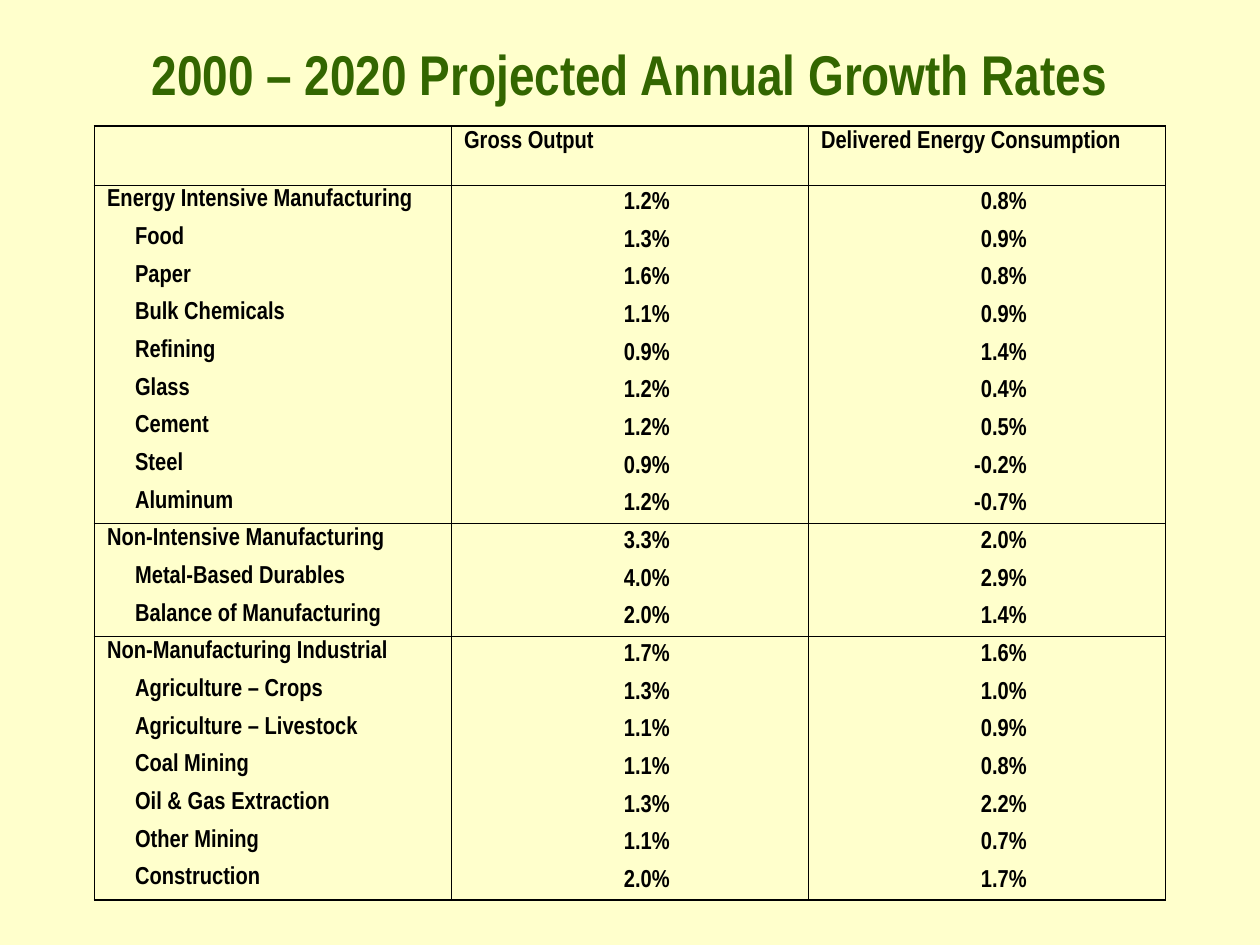
import dataclasses

import lxml.etree
import pptx
import pptx.dml.color
import pptx.enum.text
import pptx.oxml.ns
import pptx.util

Pt = pptx.util.Pt
Align = pptx.enum.text.PP_ALIGN
Anchor = pptx.enum.text.MSO_ANCHOR


@dataclasses.dataclass(frozen=True)
class Theme:
    background: str = "FFFFCC"
    title_color: str = "336600"
    ink: str = "000000"
    font: str = "Arial Narrow"
    title_size: float = 32
    body_size: float = 14
    inner_line: float = 0.45
    outer_line: float = 1.08


HEADER = ("", "Gross Output", "Delivered Energy Consumption")
SECTIONS = [
    [
        ("Energy Intensive Manufacturing", "1.2%", "0.8%"),
        ("Food", "1.3%", "0.9%"),
        ("Paper", "1.6%", "0.8%"),
        ("Bulk Chemicals", "1.1%", "0.9%"),
        ("Refining", "0.9%", "1.4%"),
        ("Glass", "1.2%", "0.4%"),
        ("Cement", "1.2%", "0.5%"),
        ("Steel", "0.9%", "-0.2%"),
        ("Aluminum", "1.2%", "-0.7%"),
    ],
    [
        ("Non-Intensive Manufacturing", "3.3%", "2.0%"),
        ("Metal-Based Durables", "4.0%", "2.9%"),
        ("Balance of Manufacturing", "2.0%", "1.4%"),
    ],
    [
        ("Non-Manufacturing Industrial", "1.7%", "1.6%"),
        ("Agriculture – Crops", "1.3%", "1.0%"),
        ("Agriculture – Livestock", "1.1%", "0.9%"),
        ("Coal Mining", "1.1%", "0.8%"),
        ("Oil & Gas Extraction", "1.3%", "2.2%"),
        ("Other Mining", "1.1%", "0.7%"),
        ("Construction", "2.0%", "1.7%"),
    ],
]


def write_text(frame, text, *, font, size, color, align=Align.LEFT, spacing=1.0):
    paragraph = frame.paragraphs[0]
    paragraph.alignment = align
    paragraph.line_spacing = spacing
    if not text:
        return
    run = paragraph.add_run()
    run.text = text
    run.font.name = font
    run.font.size = Pt(size)
    run.font.bold = True
    run.font.color.rgb = pptx.dml.color.RGBColor.from_string(color)


class SlideBuilder:
    def __init__(self, slide, theme):
        self.slide = slide
        self.theme = theme
        fill = slide.background.fill
        fill.solid()
        fill.fore_color.rgb = pptx.dml.color.RGBColor.from_string(theme.background)

    def title(self, text, left, top, width, height):
        frame = self.slide.shapes.add_textbox(Pt(left), Pt(top), Pt(width), Pt(height)).text_frame
        frame.word_wrap = True
        frame.vertical_anchor = Anchor.MIDDLE
        write_text(frame, text, font=self.theme.font, size=self.theme.title_size,
                   color=self.theme.title_color, align=Align.CENTER)

    def border(self, cell, side, width):
        properties = cell._tc.get_or_add_tcPr()
        qualify = pptx.oxml.ns.qn
        line = lxml.etree.SubElement(properties, qualify(f"a:ln{side}"), w=str(int(Pt(width))))
        if width:
            fill = lxml.etree.SubElement(line, qualify("a:solidFill"))
            lxml.etree.SubElement(fill, qualify("a:srgbClr"), val=self.theme.ink)
        else:
            lxml.etree.SubElement(line, qualify("a:noFill"))

    def cell(self, cell, text, borders, *, numeric=False, indent=0):
        for side, width in borders.items():
            self.border(cell, side, width)
        cell.fill.background()
        cell.margin_left = Pt(7.2 + indent)
        cell.margin_right = Pt(79.2 if numeric else 7.2)
        cell.margin_top = cell.margin_bottom = Pt(3.6)
        cell.vertical_anchor = Anchor.MIDDLE if numeric else Anchor.TOP
        write_text(cell.text_frame, text, font=self.theme.font, size=self.theme.body_size,
                   color=self.theme.ink, align=Align.RIGHT if numeric else Align.LEFT,
                   spacing=0.85)

    def table(self, header, sections, left, top, width, header_height, row_height):
        groups = [[header], *sections]
        row_count = sum(len(group) for group in groups)
        columns = len(header)
        height = header_height + row_height * (row_count - 1)
        table = self.slide.shapes.add_table(
            row_count, columns, Pt(left), Pt(top), Pt(width), Pt(height)).table
        table.first_row = table.horz_banding = False
        for column in table.columns:
            column.width = Pt(width / columns)
        inner, outer = self.theme.inner_line, self.theme.outer_line
        row = 0
        for group in groups:
            is_header = group[0] is header
            for position, values in enumerate(group):
                table.rows[row].height = Pt(header_height if is_header else row_height)
                top_line = outer if row == 0 else inner if position == 0 else 0
                bottom_line = (outer if row == row_count - 1
                               else inner if position == len(group) - 1 else 0)
                for column, text in enumerate(values):
                    borders = {
                        "L": outer if column == 0 else inner,
                        "R": outer if column == columns - 1 else inner,
                        "T": top_line,
                        "B": bottom_line,
                    }
                    self.cell(table.cell(row, column), text, borders,
                              numeric=column > 0 and not is_header,
                              indent=16 if column == 0 and position > 0 else 0)
                row += 1


def main():
    presentation = pptx.Presentation()
    presentation.slide_width = Pt(720)
    presentation.slide_height = Pt(540)
    slide = presentation.slides.add_slide(presentation.slide_layouts[6])
    builder = SlideBuilder(slide, Theme())
    builder.title("2000 – 2020 Projected Annual Growth Rates", 54, 24, 612, 36)
    builder.table(HEADER, SECTIONS, 54, 72, 612, 33.7, 20.43)
    presentation.save("out.pptx")


if __name__ == "__main__":
    main()
